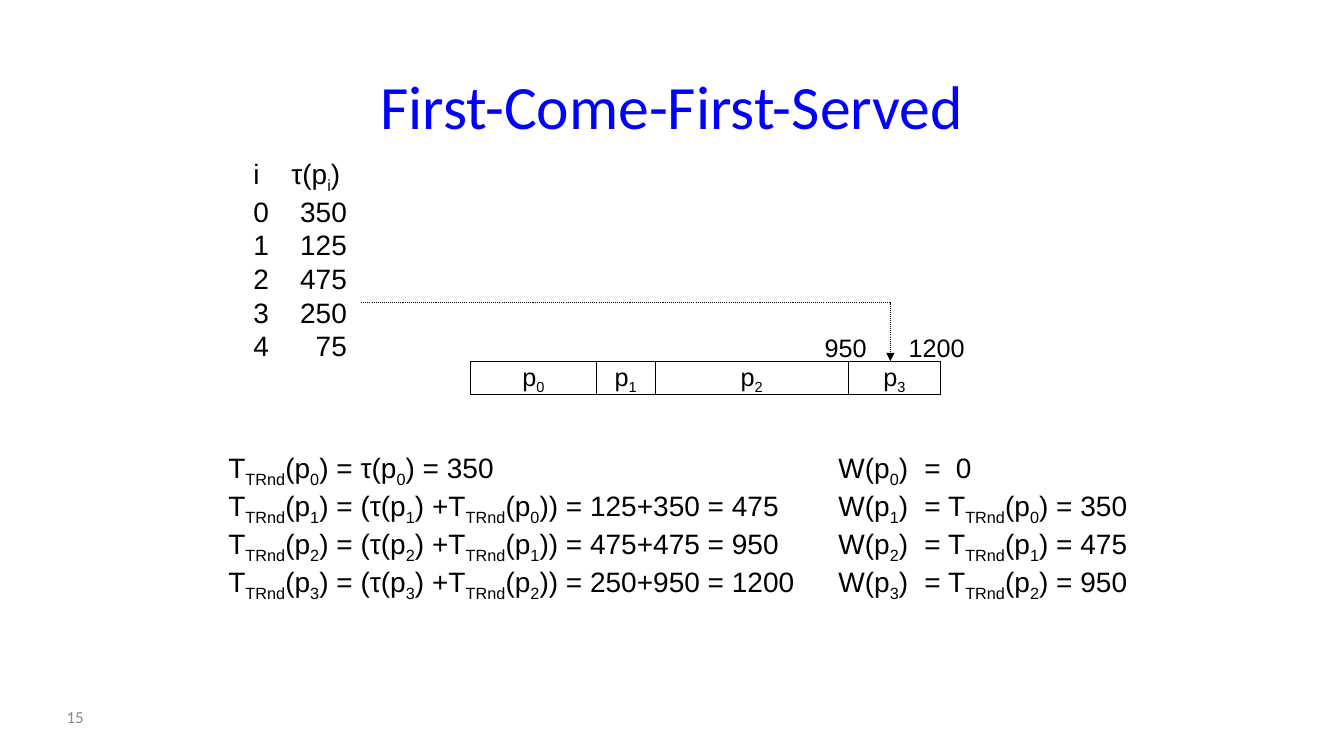
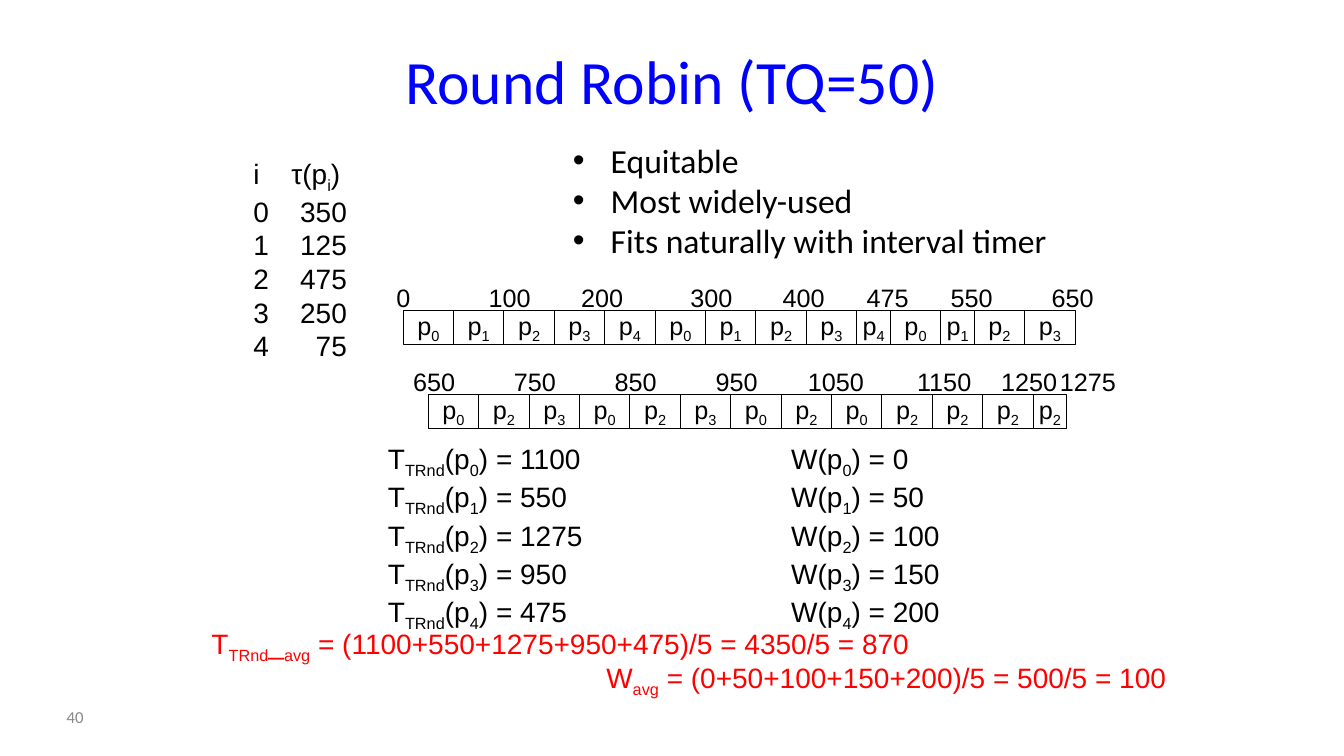
from lxml.etree import SubElement
from pptx import Presentation
from pptx.dml.color import RGBColor
from pptx.enum.dml import MSO_LINE
from pptx.enum.shapes import MSO_SHAPE
from pptx.enum.text import MSO_ANCHOR, MSO_AUTO_SIZE, PP_ALIGN
from pptx.oxml.ns import qn
from pptx.util import Emu, Pt

PX = 9525
BLACK, WHITE, BLUE, RED, GREY = "000000", "FFFFFF", "0000FF", "FF0000", "898989"
BURSTS = [350, 125, 475, 250, 75]
TITLE_ONLY, TITLE_AND_CONTENT = 5, 1
BAR_H, LABEL_RISE = 32, 32


def px(n):
    return Emu(int(n * PX))


def color(value):
    return RGBColor.from_string(value)


def place(sp, x, y, w, h):
    sp.left, sp.top, sp.width, sp.height = px(x), px(y), px(w), px(h)


def style(r, size, hue, font):
    r.font.size, r.font.name = Pt(size), font
    r.font.color.rgb = color(hue)


def write(p, text, size, hue=BLACK, font="Arial"):
    """Fill a paragraph; text inside braces becomes a subscript."""
    for i, part in enumerate(text.replace("}", "{").split("{")):
        if part:
            r = p.add_run()
            r.text = part
            style(r, size, hue, font)
            if i % 2:
                r._r.get_or_add_rPr().set("baseline", "-25000")


def set_tabs(p, stops):
    tabs = SubElement(p._p.get_or_add_pPr(), qn("a:tabLst"))
    for pos, align in stops:
        SubElement(tabs, qn("a:tab"), pos=str(px(pos)), algn=align)


def add_lines(s, x, y, w, h, lines, size=20, hue=BLACK, font="Arial", tabs=()):
    """Text box with one paragraph per line; returns its text frame."""
    tf = s.shapes.add_textbox(px(x), px(y), px(w), px(h)).text_frame
    tf.word_wrap = True
    for i, line in enumerate(lines):
        p = tf.add_paragraph() if i else tf.paragraphs[0]
        if tabs:
            set_tabs(p, tabs)
        write(p, line, size, hue, font)
    return tf


def add_base(prs, layout, title, title_y, number):
    """Slide with the shared title style and page number."""
    s = prs.slides.add_slide(prs.slide_layouts[layout])
    place(s.shapes.title, 232, title_y, 816, 72)
    tf = s.shapes.title.text_frame
    tf.text = title
    tf.auto_size, tf.vertical_anchor = MSO_AUTO_SIZE.NONE, MSO_ANCHOR.MIDDLE
    p = tf.paragraphs[0]
    p.alignment = PP_ALIGN.CENTER
    style(p.runs[0], 44, BLUE, "Calibri")
    tf = add_lines(s, 54, 664, 138, 38, [str(number)], 12, GREY, "Calibri")
    tf.vertical_anchor = MSO_ANCHOR.MIDDLE
    return s


def add_burst_list(s, x, y):
    """Service time of each process, in two tabbed columns."""
    tf = add_lines(s, x, y, 130, 204, ["i\tτ(p{i})"], tabs=[(36, "l")])
    for i, burst in enumerate(BURSTS):
        p = tf.add_paragraph()
        set_tabs(p, [(89, "r")])
        write(p, f"{i}\t{burst}", 20)


def add_gantt(s, x, y, bars, labels):
    """Row of (process, width) bars with (time, offset) labels above."""
    left = x
    for process, w in bars:
        sp = s.shapes.add_shape(MSO_SHAPE.RECTANGLE, px(left), px(y), px(w), px(BAR_H))
        sp.shadow.inherit = False
        sp.fill.solid()
        sp.fill.fore_color.rgb = color(WHITE)
        sp.line.color.rgb = color(BLACK)
        sp.line.width = Pt(0.75)
        tf = sp.text_frame
        tf.word_wrap, tf.vertical_anchor = False, MSO_ANCHOR.MIDDLE
        tf.margin_left = tf.margin_right = tf.margin_top = tf.margin_bottom = 0
        p = tf.paragraphs[0]
        p.alignment = PP_ALIGN.CENTER
        write(p, f"p{{{process}}}", 18)
        left += w
    for time, offset in labels:
        add_lines(s, x + offset, y - LABEL_RISE, 80, 38, [str(time)], 18)


def add_dotted_arrow(s, x, y, w, h):
    """Dotted line going right, then down to an arrowhead."""
    builder = s.shapes.build_freeform(px(x), px(y))
    builder.add_line_segments([(px(x + w), px(y)), (px(x + w), px(y + h))], close=False)
    sp = builder.convert_to_shape()
    sp.shadow.inherit = False
    sp.fill.background()
    sp.line.color.rgb = color(BLACK)
    sp.line.width = Pt(0.75)
    sp.line.dash_style = MSO_LINE.ROUND_DOT
    SubElement(sp._element.spPr.find(qn("a:ln")), qn("a:tailEnd"), type="triangle")


def add_bullets(s, x, y, w, h, items):
    body = s.placeholders[1]
    place(body, x, y, w, h)
    tf = body.text_frame
    tf.text = "\n".join(items)
    tf.auto_size, tf.vertical_anchor = MSO_AUTO_SIZE.NONE, MSO_ANCHOR.TOP
    for p in tf.paragraphs:
        p.space_before = Pt(0)
        style(p.runs[0], 24, BLACK, "Calibri")


def fcfs_slide(prs):
    s = add_base(prs, TITLE_ONLY, "First-Come-First-Served", 64, 15)
    add_burst_list(s, 232, 144)
    add_gantt(s, 448, 344, enumerate([120, 56, 184, 88]), [(950, 328), (1200, 408)])
    add_dotted_arrow(s, 344, 288, 504, 56)

    # Turnaround and waiting times, each built on the process before
    total = BURSTS[0]
    turnaround = [f"T{{TRnd}}(p{{0}}) = τ(p{{0}}) = {total}"]
    waiting = ["W(p{0})\t=\t0"]
    for i, burst in enumerate(BURSTS[1:4], 1):
        before = f"T{{TRnd}}(p{{{i - 1}}})"
        turnaround.append(f"T{{TRnd}}(p{{{i}}}) = (τ(p{{{i}}}) +{before}) = "
                          f"{burst}+{total} = {total + burst}")
        waiting.append(f"W(p{{{i}}})\t= {before} = {total}")
        total += burst
    add_lines(s, 208, 424, 590, 140, turnaround)
    add_lines(s, 789, 424, 330, 140, waiting, tabs=[(82, "l"), (112, "l")])


def round_robin_slide(prs):
    s = add_base(prs, TITLE_AND_CONTENT, "Round Robin (TQ=50)", 40, 40)
    add_burst_list(s, 232, 144)
    add_bullets(s, 536, 128, 500, 126,
                ["Equitable", "Most widely-used", "Fits naturally with interval timer"])

    # Schedule in two rows; a short bar is a slice ended early
    full, short = 48, 32
    first = [(int(c), short if i in (9, 11) else full)
             for i, c in enumerate("01234012340123")]
    second = [(int(c), full) for c in "023023020222"] + [(2, short)]
    add_gantt(s, 384, 296, first,
              [(0, -16), (100, 72), (200, 160), (300, 264),
               (400, 352), (475, 432), (550, 512), (650, 608)])
    add_gantt(s, 408, 376, second,
              [(650, -24), (750, 72), (850, 168), (950, 264),
               (1050, 352), (1150, 456), (1250, 536), (1275, 592)])

    # Results per process and their averages
    for x, name, times in ((360, "T{TRnd}", [1100, 550, 1275, 950, 475]),
                           (744, "W", [0, 50, 100, 150, 200])):
        add_lines(s, x, 416, 230, 170,
                  [f"{name}(p{{{i}}}) = {t}" for i, t in enumerate(times)])
    add_lines(s, 192, 592, 720, 42,
              ["T{TRnd}_{avg} = (1100+550+1275+950+475)/5 = 4350/5 = 870"], hue=RED)
    add_lines(s, 568, 624, 580, 42,
              ["W{avg} = (0+50+100+150+200)/5 = 500/5 = 100"], hue=RED)


def main():
    prs = Presentation()
    prs.slide_width, prs.slide_height = px(1280), px(720)
    fcfs_slide(prs)
    round_robin_slide(prs)
    prs.save("out.pptx")


if __name__ == "__main__":
    main()
